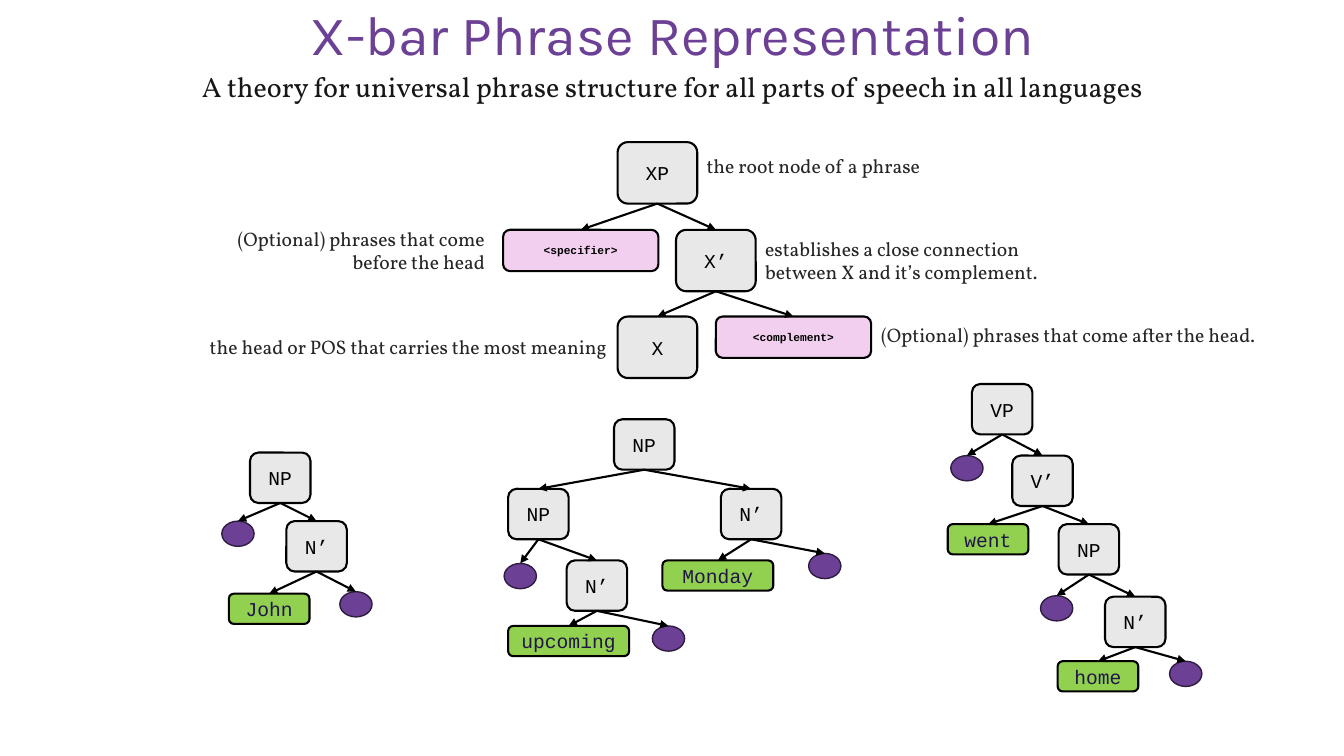
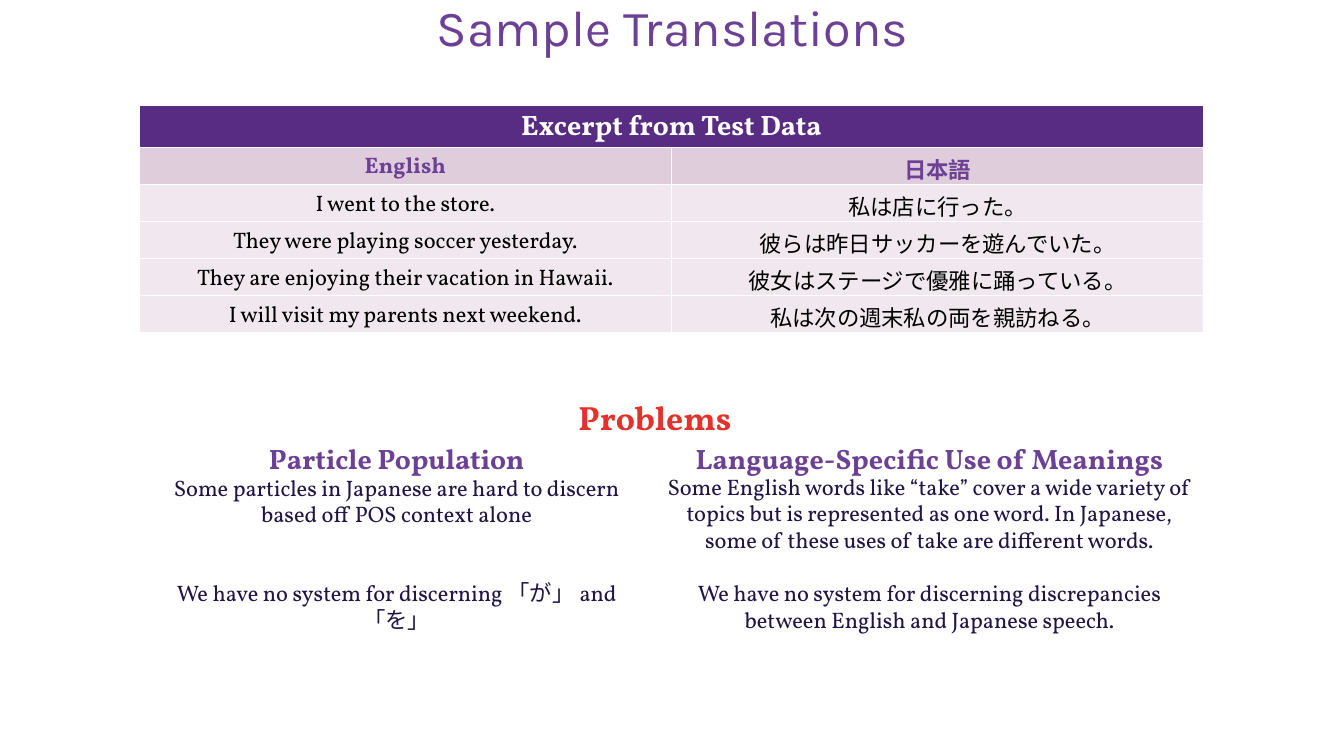
from lxml import etree
from pptx import Presentation
from pptx import util as u
from pptx.dml.color import RGBColor
from pptx.enum import shapes, text
from pptx.oxml.ns import qn

# Shared look
PURPLE = RGBColor(0x6C, 0x40, 0x95)
DEEP = RGBColor(0x58, 0x2C, 0x83)
DARK = RGBColor(0x2F, 0x1C, 0x41)
NAVY = RGBColor(0x20, 0x15, 0x46)
BLACK = RGBColor(0, 0, 0)
INK = RGBColor(0x18, 0x17, 0x17)
GREY = RGBColor(0x26, 0x26, 0x26)
WHITE = RGBColor(255, 255, 255)
RED = RGBColor(0xE2, 0x32, 0x2B)
PALE = RGBColor(0xE8, 0xE8, 0xE8)
PINK = RGBColor(0xF2, 0xCF, 0xEE)
GREEN = RGBColor(0x92, 0xD0, 0x50)
MAUVE = RGBColor(0xDF, 0xCD, 0xDC)
MIST = RGBColor(0xF0, 0xE8, 0xEE)
HEAD, BODY, CODE, KANJI = "Karla", "Vollkorn", "Courier New", "Noto Sans CJK JP"
LEFT, MID, RIGHT = text.PP_ALIGN.LEFT, text.PP_ALIGN.CENTER, text.PP_ALIGN.RIGHT
ROUND, OVAL = shapes.MSO_SHAPE.ROUNDED_RECTANGLE, shapes.MSO_SHAPE.OVAL

# Grid of square cells, ten to the inch
CELL = u.Inches(0.1)

deck = Presentation()
deck.slide_width, deck.slide_height = u.Inches(13.33), u.Inches(7.5)


def write(frame, words, size, color, font=BODY, bold=False, align=MID):
    para = frame.paragraphs[0]
    para.alignment = align
    run = para.add_run()
    run.text = words
    run.font.size, run.font.bold, run.font.name = u.Pt(size), bold, font
    run.font.color.rgb = color
    etree.SubElement(run._r.get_or_add_rPr(), qn("a:ea"), typeface=KANJI)
    return para


def label(page, box, *args, **look):
    frame = page.shapes.add_textbox(*[int(n * CELL) for n in box]).text_frame
    frame.word_wrap = True
    return write(frame, *args, **look)


# Pages with their titles: name, top, height, size
pages = []
for name, top, high, size in [("X-bar Phrase Representation", 0.1, 7.3, 39.6),
                              ("Sample Translations", 0.4, 5.1, 36)]:
    page = deck.slides.add_slide(deck.slide_layouts[6])
    para = label(page, (9.2, top, 115, high), name, size, PURPLE, font=HEAD)
    para.line_spacing = 0.9
    page.shapes[0].text_frame.vertical_anchor = text.MSO_ANCHOR.MIDDLE
    pages.append(page)
xbar, sample = pages

# Subtitle
label(xbar, (16.7, 6.4, 100, 4.4),
      "A theory for universal phrase structure for all parts of speech in all languages",
      20, INK)

# Node kinds: shape, columns, rows, fill, edge, edge width, text size, text colour, bold
KINDS = {
    "big": (ROUND, 7.9, 6.1, PALE, BLACK, 1.5, 14, BLACK, False),
    "opt": (ROUND, 15.4, 4.1, PINK, BLACK, 1.5, 8, BLACK, True),
    "box": (ROUND, 6, 5, PALE, BLACK, 1.5, 14, BLACK, False),
    "word": (ROUND, 8, 3, GREEN, BLACK, 1.5, 14, NAVY, False),
    "dot": (OVAL, 3.2, 2.5, PURPLE, DARK, 1, 14, WHITE, False),
}
WIDE = {"Monday": 11, "upcoming": 12}

# Trees, top down: depth, kind, words, centre column, top row
NODES = [
    (0, "big", "XP", 65.2, 14.1),
    (1, "opt", "<specifier>", 57.6, 22.8),
    (1, "big", "X’", 71, 22.8),
    (2, "big", "X", 65.2, 31.4),
    (2, "opt", "<complement>", 78.7, 31.4),

    (0, "box", "NP", 27.8, 44.9),
    (1, "dot", "", 23.6, 51.7),
    (1, "box", "N’", 31.4, 51.7),
    (2, "word", "John", 26.7, 58.9),
    (2, "dot", "", 35.3, 58.7),

    (0, "box", "NP", 63.9, 41.6),
    (1, "box", "NP", 53.4, 48.5),
    (2, "dot", "", 51.6, 55.9),
    (2, "box", "N’", 59.2, 55.6),
    (3, "word", "upcoming", 56.4, 62.1),
    (3, "dot", "", 66.3, 62.1),
    (1, "box", "N’", 74.5, 48.5),
    (2, "word", "Monday", 71.2, 55.6),
    (2, "dot", "", 81.8, 54.9),

    (0, "box", "VP", 99.4, 38.1),
    (1, "dot", "", 95.9, 45.2),
    (1, "box", "V’", 103.4, 45.2),
    (2, "word", "went", 98, 52),
    (2, "box", "NP", 108, 52),
    (3, "dot", "", 104.8, 59.1),
    (3, "box", "N’", 112.6, 59.2),
    (4, "word", "home", 108.9, 65.6),
    (4, "dot", "", 117.6, 65.6),
]
last = {}  # latest node at each depth
for depth, kind, words, mid, top in NODES:
    form, wide, high, fill, edge, thick, size, color, bold = KINDS[kind]
    wide = WIDE.get(words, wide)
    box = (mid - wide / 2, top, wide, high)
    node = xbar.shapes.add_shape(form, *[int(n * CELL) for n in box])
    node.shadow.inherit = False
    node.fill.solid()
    node.fill.fore_color.rgb = fill
    node.line.color.rgb, node.line.width = edge, u.Pt(thick)
    node.text_frame.word_wrap = False
    if words:
        write(node.text_frame, words, size, color, font=CODE, bold=bold)
    last[depth] = node

    # Arrow from the parent's foot to the node's top
    if depth:
        arrow = xbar.shapes.add_connector(shapes.MSO_CONNECTOR.STRAIGHT, 0, 0, 0, 0)
        arrow.begin_connect(last[depth - 1], 2)
        arrow.end_connect(node, 0)
        arrow.line.color.rgb, arrow.line.width = BLACK, u.Pt(1.5)
        etree.SubElement(arrow.line._get_or_add_ln(), qn("a:tailEnd"), type="triangle")
        etree.SubElement(arrow._element.spPr, qn("a:effectLst"))

# Remarks beside the nodes
for box, align, words in [
    ((69.1, 14.8, 63, 3.4), LEFT, "the root node of a phrase"),
    ((0, 32.7, 61.2, 3.4), RIGHT, "the head or POS that carries the most meaning"),
    ((21.1, 22, 28, 3.4), RIGHT, "(Optional) phrases that come before the head"),
    ((74.9, 23, 34, 3.4), LEFT,
     "establishes a close connection between X and it’s complement."),
    ((86.4, 31.5, 46.9, 3.4), LEFT, "(Optional) phrases that come after the head."),
]:
    label(xbar, box, words, 14, GREY, align=align)

# Table of translations
ROWS = [
    ("Excerpt from Test Data", ""),
    ("English", "日本語"),
    ("I went to the store.", "私は店に行った。"),
    ("They were playing soccer yesterday.", "彼らは昨日サッカーを遊んでいた。"),
    ("They are enjoying their vacation in Hawaii.", "彼女はステージで優雅に踊っている。"),
    ("I will visit my parents next weekend.", "私は次の週末私の両を親訪ねる。"),
]
# Row looks: height, side margin, fill, text size, text colour, bold
TOP = (4.1, 1, DEEP, 20, WHITE, True)
SUB = (3.7, 1.5, MAUVE, 16, PURPLE, True)
ROW = (3.5, 0.7, MIST, 16, BLACK, False)
LOOKS = [TOP, SUB] + [ROW] * 4
area = [int(n * CELL) for n in (13.8, 10.3, 105.6, sum(look[0] for look in LOOKS))]
grid = sample.shapes.add_table(len(ROWS), 2, *area).table
grid.cell(0, 0).merge(grid.cell(0, 1))
for r, (pair, look) in enumerate(zip(ROWS, LOOKS)):
    high, side, fill, size, color, bold = look
    grid.rows[r].height = int(high * CELL)
    for c, words in enumerate(pair):
        cell = grid.cell(r, c)
        cell.margin_left = cell.margin_right = int(side * CELL)
        cell.vertical_anchor = text.MSO_ANCHOR.MIDDLE
        if words:
            font = KANJI if c else BODY
            write(cell.text_frame, words, size, color, font=font, bold=bold)
        props = cell._tc.get_or_add_tcPr()
        for tag in ("a:lnL", "a:lnR", "a:lnT", "a:lnB"):
            thick = 3 if r == 0 and tag == "a:lnT" else 1
            line = etree.SubElement(props, qn(tag), w=str(u.Pt(thick)))
            paint = etree.SubElement(line, qn("a:solidFill"))
            etree.SubElement(paint, qn("a:srgbClr"), val=str(WHITE))
        cell.fill.solid()
        cell.fill.fore_color.rgb = fill

# Problems: one heading, then two columns of heading and remarks
label(sample, (5.7, 38.9, 118.5, 5), "Problems", 24, RED, bold=True)
for left, wide, name, notes in [
    (13.8, 51.1, "Particle Population", [
        (46.5, "Some particles in Japanese are hard to discern based off POS context alone"),
        (57, "We have no system for discerning 「が」 and「を」")]),
    (64.9, 54.6, "Language-Specific Use of Meanings", [
        (46.4, "Some English words like “take” cover a wide variety of topics but is "
               "represented as one word. In Japanese, some of these uses of take are "
               "different words."),
        (57, "We have no system for discerning discrepancies between English and "
             "Japanese speech.")]),
]:
    label(sample, (left, 43.3, wide, 4.4), name, 20, PURPLE, bold=True)
    for top, words in notes:
        label(sample, (left, top, wide, 6.4), words, 16, NAVY)

deck.save("out.pptx")
